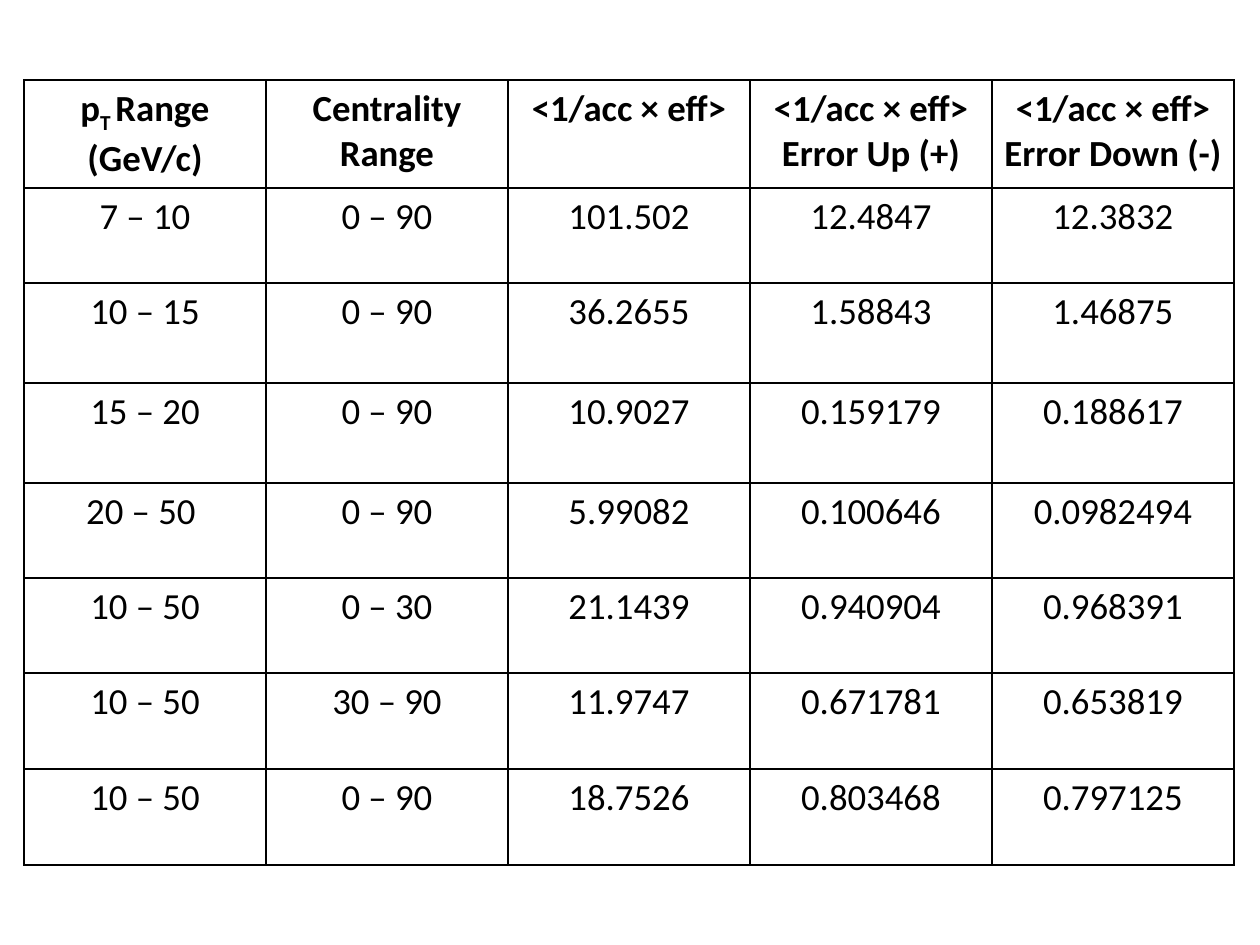
import pptx
import pptx.util
import pptx.dml.color
import pptx.enum.text
import pptx.oxml
import pptx.oxml.ns
import lxml.etree

PX = 914400 // 126
COLORS = {"ink": "000000", "paper": "FFFFFF"}


def add_text(p, text, size=21, bold=False, color="ink", font="Calibri", baseline=0):
    r = p.add_run()
    r.text = text
    r.font.size = pptx.util.Pt(size)
    r.font.bold = bold
    r.font.name = font
    r.font.color.rgb = pptx.dml.color.RGBColor.from_string(COLORS[color])
    if baseline:
        r.font._element.set("baseline", str(baseline * 1000))


class Deck:
    font = "Calibri"
    size = 21
    margin = 11
    border = 1

    def __init__(self, width, height):
        self.prs = pptx.Presentation()
        self.prs.slide_width = width * PX
        self.prs.slide_height = height * PX
        self.s = self.prs.slides.add_slide(self.prs.slide_layouts[6])

    def borders(self, cell):
        # Border lines come before the fill in the cell properties
        tc_pr = cell._tc.get_or_add_tcPr()
        for i, side in enumerate(("lnL", "lnR", "lnT", "lnB")):
            ln = pptx.oxml.parse_xml(
                f'<a:{side} {pptx.oxml.ns.nsdecls("a")} w="{self.border * 12700}">'
                f'<a:solidFill><a:srgbClr val="{COLORS["ink"]}"/></a:solidFill>'
                f'</a:{side}>')
            tc_pr.insert(i, ln)

    def table(self, left, top, col_width, heights, rows):
        n_cols = len(rows[0])
        frame = self.s.shapes.add_table(len(rows), n_cols, left * PX, top * PX,
                                        col_width * n_cols * PX, sum(heights) * PX)
        table = frame.table
        table.first_row = table.horz_banding = False
        for col in table.columns:
            col.width = col_width * PX
        for i, (row, height) in enumerate(zip(rows, heights)):
            table.rows[i].height = height * PX
            for j, runs in enumerate(row):
                cell = table.cell(i, j)
                cell.margin_left = cell.margin_right = self.margin * PX
                cell.fill.background()
                self.borders(cell)
                p = cell.text_frame.paragraphs[0]
                p.alignment = pptx.enum.text.PP_ALIGN.CENTER
                if isinstance(runs, str):
                    runs = [(runs, 0)]
                for text, baseline in runs:
                    add_text(p, text, size=self.size, font=self.font,
                             bold=i == 0, baseline=baseline)


# Efficiency corrections by momentum and centrality range
ratio = "<1/acc × eff>"
header = [[("p", 0), ("T ", -25), ("Range (GeV/c)", 0)], "Centrality Range",
          ratio, f"{ratio} Error Up (+)", f"{ratio} Error Down (-)"]
data = [
    ["7 – 10", "0 – 90", "101.502", "12.4847", "12.3832"],
    ["10 – 15", "0 – 90", "36.2655", "1.58843", "1.46875"],
    ["15 – 20", "0 – 90", "10.9027", "0.159179", "0.188617"],
    ["20 – 50 ", "0 – 90", "5.99082", "0.100646", "0.0982494"],
    ["10 – 50", "0 – 30", "21.1439", "0.940904", "0.968391"],
    ["10 – 50", "30 – 90", "11.9747", "0.671781", "0.653819"],
    ["10 – 50", "0 – 90", "18.7526", "0.803468", "0.797125"],
]

deck = Deck(1260, 945)
deck.table(24, 80, 242, [108, 95, 100, 100, 95, 95, 96, 96], [header] + data)
deck.prs.save("out.pptx")
